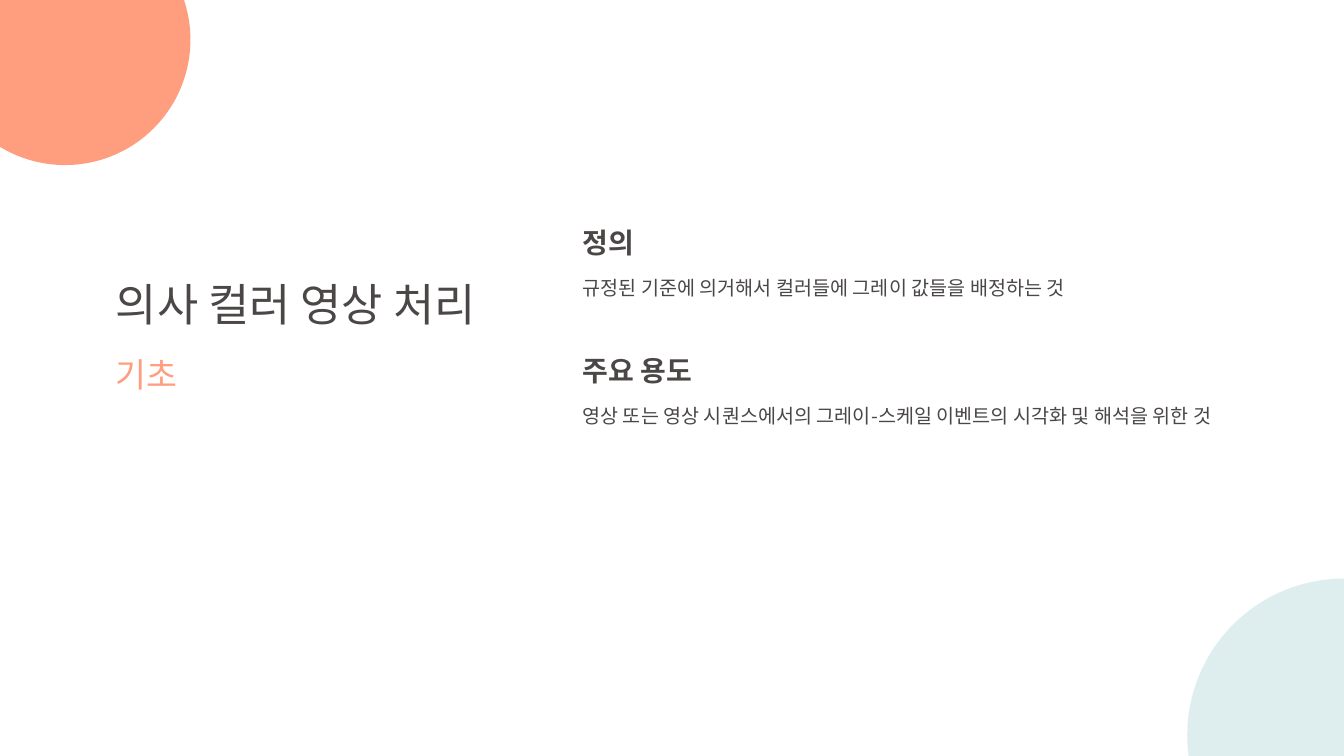
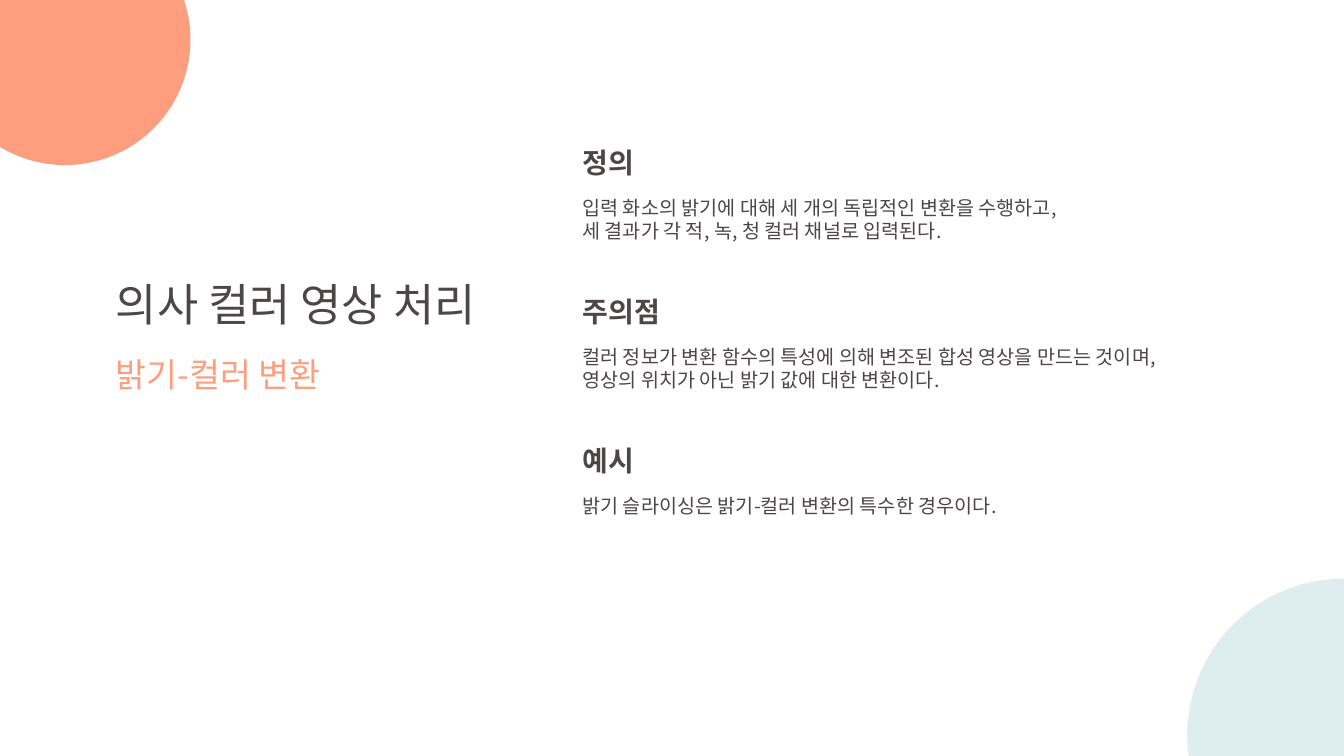
from lxml.etree import SubElement
from pptx import Presentation
from pptx.dml.color import RGBColor
from pptx.enum.shapes import MSO_SHAPE
from pptx.oxml.ns import qn
from pptx.util import Cm, Pt

FONT = "Noto Sans CJK KR"
DARK = RGBColor(0x4C, 0x47, 0x47)
CORAL = RGBColor(0xFE, 0x9E, 0x7E)
MINT = RGBColor(0xC8, 0xE4, 0xE5)

TITLE = "의사 컬러 영상 처리"
SLIDES = [
    ("기초", 5.56, [
        ("정의", ["규정된 기준에 의거해서 컬러들에 그레이 값들을 배정하는 것"]),
        ("주요 용도", ["영상 또는 영상 시퀀스에서의 그레이-스케일 이벤트의 시각화 및 해석을 위한 것"]),
    ]),
    ("밝기-컬러 변환", 3.53, [
        ("정의", ["입력 화소의 밝기에 대해 세 개의 독립적인 변환을 수행하고,",
                "세 결과가 각 적, 녹, 청 컬러 채널로 입력된다."]),
        ("주의점", ["컬러 정보가 변환 함수의 특성에 의해 변조된 합성 영상을 만드는 것이며,",
                 "영상의 위치가 아닌 밝기 값에 대한 변환이다."]),
        ("예시", ["밝기 슬라이싱은 밝기-컬러 변환의 특수한 경우이다."]),
    ]),
]

LEFT, SIDE = 2.67, 11.4
RIGHT, MAIN = 14.43, 18.6
DROP = 1.27
GAP, LINE = 2.68, 0.54


def add_disc(slide, x, y, size, color, alpha=100):
    disc = slide.shapes.add_shape(MSO_SHAPE.OVAL, Cm(x), Cm(y), Cm(size), Cm(size))
    disc.shadow.inherit = False
    disc.line.fill.background()
    disc.fill.solid()
    disc.fill.fore_color.rgb = color
    if alpha < 100:
        tone = disc.fill._xPr.find(qn("a:solidFill"))[0]
        SubElement(tone, qn("a:alpha")).set("val", str(alpha * 1000))


def add_text(slide, x, y, width, height, lines, size, color=DARK, bold=False):
    box = slide.shapes.add_textbox(Cm(x), Cm(y), Cm(width), Cm(height))
    frame = box.text_frame
    frame.word_wrap = True
    frame.text = "\n".join(lines)
    for para in frame.paragraphs:
        font = para.font
        font.name = FONT
        font.size = Pt(size)
        font.bold = bold
        font.color.rgb = color
        base = para._p.find(qn("a:pPr")).find(qn("a:defRPr"))
        SubElement(base, qn("a:ea")).set("typeface", FONT)


def add_frame(slide, topic):
    add_disc(slide, -1.52, -2.16, 6.32, CORAL)
    add_text(slide, LEFT, 6.86, SIDE, 1.62, [TITLE], 32)
    add_text(slide, LEFT, 8.79, SIDE, 1.28, [topic], 24, CORAL)
    add_disc(slide, 29.92, 14.58, 7.9, MINT, 60)


def main():
    deck = Presentation()
    deck.slide_width, deck.slide_height = Cm(33.87), Cm(19.05)
    for topic, top, parts in SLIDES:
        slide = deck.slides.add_slide(deck.slide_layouts[6])
        add_frame(slide, topic)
        for head, lines in parts:
            add_text(slide, RIGHT, top, MAIN, 1.11, [head], 20, bold=True)
            add_text(slide, RIGHT, top + DROP, MAIN, 0.3 + 0.57 * len(lines), lines, 14)
            top += GAP + LINE * len(lines)
    deck.save("out.pptx")


if __name__ == "__main__":
    main()
